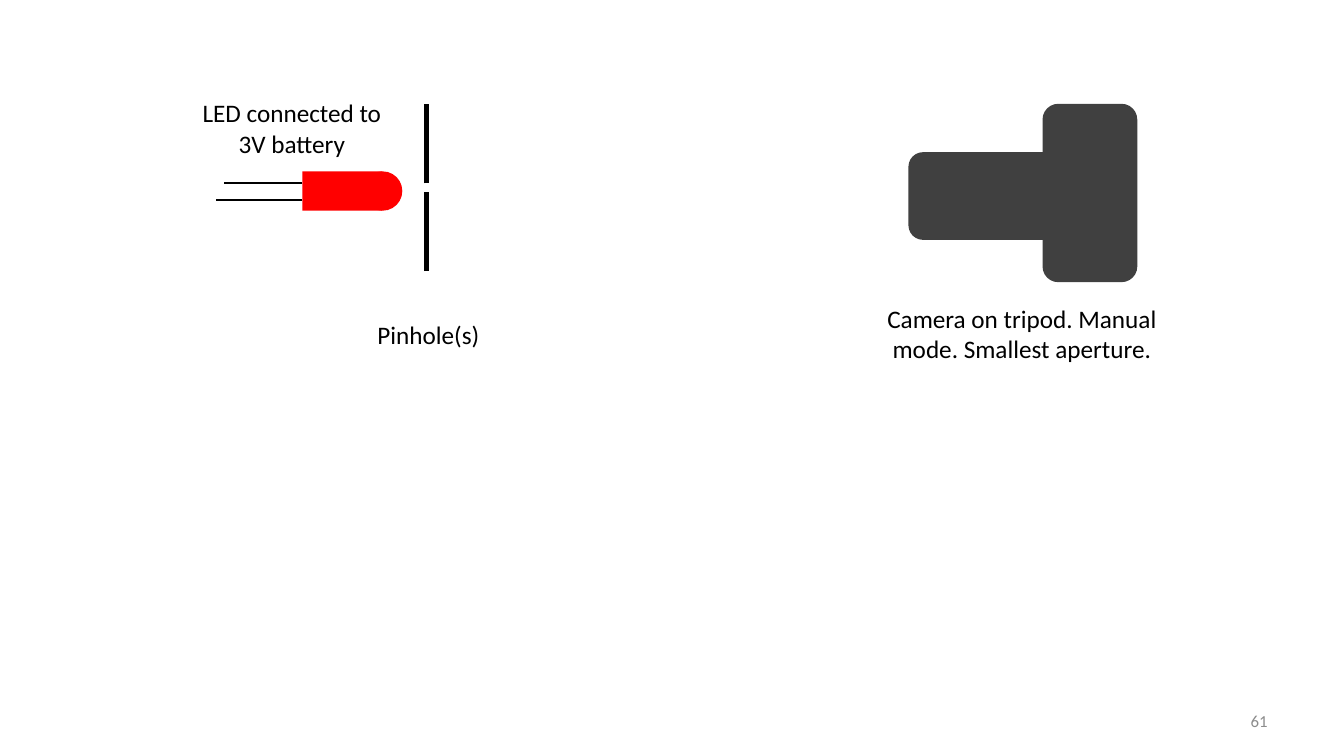
import pptx
import pptx.util
import pptx.dml.color
import pptx.enum.shapes
import pptx.enum.text
import pptx.oxml.ns
import lxml.etree

Inches = pptx.util.Inches
Shape = pptx.enum.shapes.MSO_SHAPE
Align = pptx.enum.text.PP_ALIGN
Anchor = pptx.enum.text.MSO_ANCHOR
COLORS = {"ink": "000000", "led": "FF0000", "camera": "404040", "number": "8C8C8C"}


def color(name):
    """Return the named colour."""
    return pptx.dml.color.RGBColor.from_string(COLORS[name])


def add_label(slide, text, left, top, width, height, size=18, ink="ink",
              align=Align.CENTER, anchor=Anchor.TOP):
    """Add a wrapped line of text."""
    shape = slide.shapes.add_textbox(*map(Inches, (left, top, width, height)))
    frame = shape.text_frame
    frame.word_wrap = True
    frame.vertical_anchor = anchor
    paragraph = frame.paragraphs[0]
    paragraph.text = text
    paragraph.alignment = align
    paragraph.font.name = "Calibri"
    paragraph.font.size = pptx.util.Pt(size)
    paragraph.font.color.rgb = color(ink)


def add_solid(slide, kind, fill, left, top, width, height):
    """Add a filled shape without outline."""
    shape = slide.shapes.add_shape(kind, *map(Inches, (left, top, width, height)))
    shape.shadow.inherit = False
    shape.fill.solid()
    shape.fill.fore_color.rgb = color(fill)
    shape.line.fill.background()


def add_line(slide, start_x, start_y, end_x, end_y, weight):
    """Add a straight black line."""
    connector = slide.shapes.add_connector(
        pptx.enum.shapes.MSO_CONNECTOR.STRAIGHT,
        *map(Inches, (start_x, start_y, end_x, end_y)))
    connector.line.color.rgb = color("ink")
    connector.line.width = pptx.util.Pt(weight)
    lxml.etree.SubElement(connector._element.spPr, pptx.oxml.ns.qn("a:effectLst"))


def add_led(slide, left, top):
    """Draw the LED with its two leads and label."""
    body_left, body_top, diameter = left + 1.15, top + 0.78, 0.39
    add_solid(slide, Shape.OVAL, "led", body_left + 0.6, body_top, diameter, diameter)
    add_solid(slide, Shape.RECTANGLE, "led", body_left, body_top, 0.79, diameter)
    for offset, length in ((0.28, 0.86), (0.12, 0.78)):
        lead_y = body_top + offset
        add_line(slide, body_left, lead_y, body_left - length, lead_y, 1.5)
    add_label(slide, "LED connected to 3V battery", left, top, 2.09, 0.71)


def add_pinhole(slide, left, top):
    """Draw the screen halves around the pinhole, with a label."""
    half, gap = 0.79, 0.08
    for half_top in (top, top + half + gap):
        add_line(slide, left + 0.75, half_top + half, left + 0.75, half_top, 3)
    add_label(slide, "Pinhole(s)", left, top + 2.09, 1.54, 0.4)


def add_camera(slide, left, top):
    """Draw the camera body and lens, with a label."""
    add_solid(slide, Shape.ROUNDED_RECTANGLE, "camera", left + 1.7, top, 0.94, 1.77)
    add_solid(slide, Shape.ROUNDED_RECTANGLE, "camera", left + 0.37, top + 0.48, 1.68, 0.87)
    add_label(slide, "Camera on tripod. Manual mode. Smallest aperture.",
              left, top + 1.93, 2.99, 0.71)


def main():
    """Build and save the slide."""
    presentation = pptx.Presentation()
    presentation.slide_width = Inches(13.33)
    presentation.slide_height = Inches(7.5)
    slide = presentation.slides.add_slide(presentation.slide_layouts[6])
    add_label(slide, "61", 9.56, 6.95, 3.11, 0.4, 12, "number", Align.RIGHT, Anchor.MIDDLE)
    add_led(slide, 1.85, 0.92)
    add_pinhole(slide, 3.48, 1.03)
    add_camera(slide, 8.64, 1.03)
    presentation.save("out.pptx")


if __name__ == "__main__":
    main()
